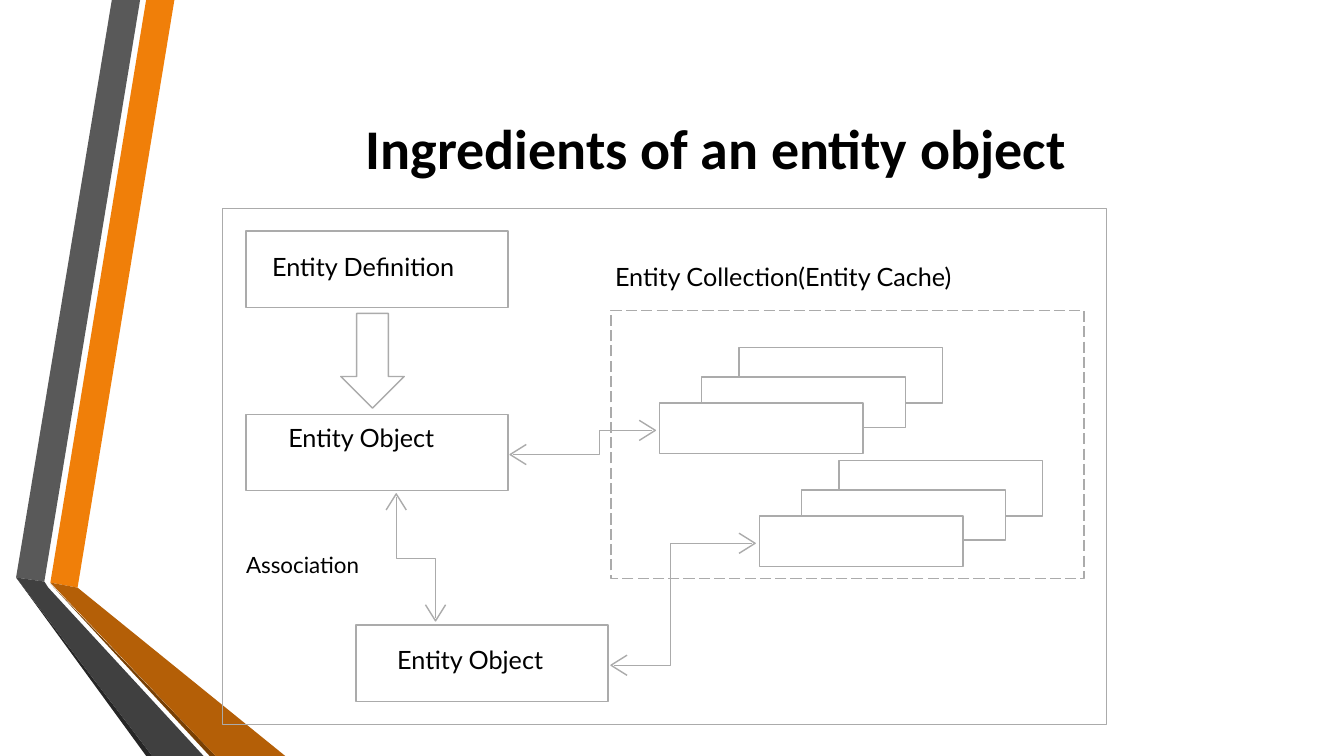
from dataclasses import dataclass
from typing import Optional

from lxml.etree import SubElement
from pptx import Presentation
from pptx.dml.color import RGBColor
from pptx.enum.dml import MSO_LINE
from pptx.enum.shapes import MSO_CONNECTOR, MSO_SHAPE
from pptx.enum.text import MSO_ANCHOR, PP_ALIGN
from pptx.oxml.ns import qn
from pptx.util import Inches, Pt

Point = tuple[float, float]

ORANGE = RGBColor(0xF0, 0x7F, 0x09)
ORANGE_DARK = RGBColor(0xB4, 0x5F, 0x07)
BROWN = RGBColor(0x78, 0x40, 0x04)
GRAY = RGBColor(0x59, 0x59, 0x59)
GRAY_DARK = RGBColor(0x40, 0x40, 0x40)
CHARCOAL = RGBColor(0x26, 0x26, 0x26)
OUTLINE = RGBColor(0xAB, 0xAB, 0xAB)
BLACK = RGBColor(0, 0, 0)
WHITE = RGBColor(0xFF, 0xFF, 0xFF)


@dataclass
class Ribbon:
    color: RGBColor
    points: list[Point]


@dataclass
class Box:
    left: float
    top: float
    width: float
    height: float
    fill: Optional[RGBColor] = None
    weight: float = 1
    dashed: bool = False
    preset: MSO_SHAPE = MSO_SHAPE.RECTANGLE


@dataclass
class Label:
    text: str
    left: float
    top: float
    width: float
    size: int = 18


@dataclass
class Link:
    start: Point
    end: Point
    bend: float  # share of the way at which the link turns
    vertical: bool = False


RIBBONS = [
    Ribbon(ORANGE, [(0.5, 5.78), (0.77, 5.83), (1.73, 0), (1.45, 0)]),
    Ribbon(GRAY, [(1.39, 0), (1.11, 0), (0.16, 5.73), (0.44, 5.77)]),
    Ribbon(CHARCOAL, [(0.16, 5.73), (1.45, 7.5), (1.51, 7.5)]),
    Ribbon(BROWN, [(0.5, 5.79), (2.08, 7.5), (2.14, 7.5)]),
    Ribbon(ORANGE_DARK, [(0.5, 5.78), (2.14, 7.5), (2.83, 7.5), (0.77, 5.83)]),
    Ribbon(GRAY_DARK, [(2.02, 7.5), (0.48, 5.83), (0.44, 5.77), (0.16, 5.73), (1.51, 7.5)]),
]

FRAMES = [
    Box(2.21, 2.07, 8.76, 5.12, weight=0.5),
    Box(6.06, 3.08, 4.69, 2.66, WHITE, dashed=True),
]
ENTITIES = [
    Box(2.44, 2.29, 2.6, 0.76),
    Box(2.44, 4.11, 2.6, 0.76),
    Box(3.53, 6.2, 2.5, 0.76),
    Box(3.38, 3.11, 0.63, 0.94, preset=MSO_SHAPE.DOWN_ARROW),
]
STACK_CORNERS = [(6.54, 4.0), (7.53, 5.12)]
CARDS = [Box(0.79, -0.55, 2.02, 0.55), Box(0.42, -0.26, 2.02, 0.5, WHITE), Box(0, 0, 2.02, 0.5, WHITE)]

LABELS = [
    Label("Entity Definition", 2.7, 2.45, 2.8),
    Label("Entity Object", 2.86, 4.14, 2.24),
    Label("Entity Object", 3.94, 6.35, 2.24),
    Label("Entity Collection(Entity Cache)", 6.1, 2.55, 5.35),
    Label("Association", 2.44, 5.43, 2.01, 16),
]
LINKS = [
    Link((5.09, 4.51), (6.47, 4.27), 0.62),
    Link((3.93, 4.93), (4.32, 6.13), 0.51, vertical=True),
    Link((6.09, 6.6), (7.46, 5.39), 0.41),
]
HEAD_LENGTH, HEAD_HALF, HEAD_GAP = 0.16, 0.1, 0.03

prs = Presentation()
prs.slide_width, prs.slide_height = Inches(13.33), Inches(7.5)
shapes = prs.slides.add_slide(prs.slide_layouts[6]).shapes


def set_line(shape, weight: float) -> None:
    shape.line.color.rgb = OUTLINE
    shape.line.width = Pt(weight)


def draw_path(points: list[Point], close: bool):
    first, *rest = [(Inches(x), Inches(y)) for x, y in points]
    builder = shapes.build_freeform(*first, scale=1.0)
    builder.add_line_segments(rest, close=close)
    path = builder.convert_to_shape()
    path.shadow.inherit = False
    return path


def draw_ribbon(ribbon: Ribbon) -> None:
    band = draw_path(ribbon.points, True)
    band.fill.solid()
    band.fill.fore_color.rgb = ribbon.color
    band.line.fill.background()


def draw_box(box: Box, dx: float = 0, dy: float = 0) -> None:
    place = (box.left + dx, box.top + dy, box.width, box.height)
    outline = shapes.add_shape(box.preset, *map(Inches, place))
    outline.shadow.inherit = False
    if box.fill is None:
        outline.fill.background()
    else:
        outline.fill.solid()
        outline.fill.fore_color.rgb = box.fill
    set_line(outline, box.weight)
    if box.dashed:
        outline.line.dash_style = MSO_LINE.LONG_DASH


def add_words(frame, text: str, font: str, size: int, bold: bool = False):
    frame.word_wrap = True
    paragraph = frame.paragraphs[0]
    run = paragraph.add_run()
    run.text = text
    run.font.name, run.font.size, run.font.bold = font, Pt(size), bold
    run.font.color.rgb = BLACK
    return paragraph


def draw_label(label: Label) -> None:
    place = (label.left, label.top, label.width, 0.5)
    frame = shapes.add_textbox(*map(Inches, place)).text_frame
    frame.margin_left = frame.margin_top = frame.margin_right = frame.margin_bottom = 0
    add_words(frame, label.text, "Lato", label.size).line_spacing = 1.15


def draw_head(tip: Point, sign: int, vertical: bool) -> None:
    """Open arrowhead just past a link's end, pointing along sign."""
    along, across = (tip[1], tip[0]) if vertical else tip
    along += sign * HEAD_GAP
    back = along - sign * HEAD_LENGTH
    points = [(back, across - HEAD_HALF), (along, across), (back, across + HEAD_HALF)]
    if vertical:
        points = [(x, y) for y, x in points]
    head = draw_path(points, False)
    head.fill.background()
    set_line(head, 1)


def draw_link(link: Link) -> None:
    (x1, y1), (x2, y2) = link.start, link.end
    if link.vertical:  # laid out flat about its centre, then turned a quarter
        cx, cy, run, rise = (x1 + x2) / 2, (y1 + y2) / 2, (y2 - y1) / 2, (x2 - x1) / 2
        x1, y1, x2, y2 = cx - run, cy + rise, cx + run, cy - rise
    elbow = shapes.add_connector(MSO_CONNECTOR.ELBOW, *map(Inches, (x1, y1, x2, y2)))
    set_line(elbow, 0.5)
    properties = elbow._element.spPr
    if link.vertical:
        properties.find(qn("a:xfrm")).set("rot", "5400000")
    guides = properties.find(qn("a:prstGeom")).find(qn("a:avLst"))
    SubElement(guides, qn("a:gd"), name="adj1", fmla=f"val {round(link.bend * 100000)}")
    SubElement(properties, qn("a:effectLst"))
    draw_head(link.start, -1, link.vertical)
    draw_head(link.end, 1, link.vertical)


# Ribbons on the left edge
for ribbon in RIBBONS:
    draw_ribbon(ribbon)

# Title
title = shapes.add_textbox(*map(Inches, (1.62, 0.5, 10.96, 1.92))).text_frame
title.vertical_anchor = MSO_ANCHOR.MIDDLE
add_words(title, "Ingredients of an entity object", "Calibri", 40, True).alignment = PP_ALIGN.CENTER

# Frames, entities and the two stacks of cached rows
for box in FRAMES + ENTITIES:
    draw_box(box)
for corner in STACK_CORNERS:
    for card in CARDS:
        draw_box(card, *corner)

# Labels and two-way links
for label in LABELS:
    draw_label(label)
for link in LINKS:
    draw_link(link)

prs.save("out.pptx")
